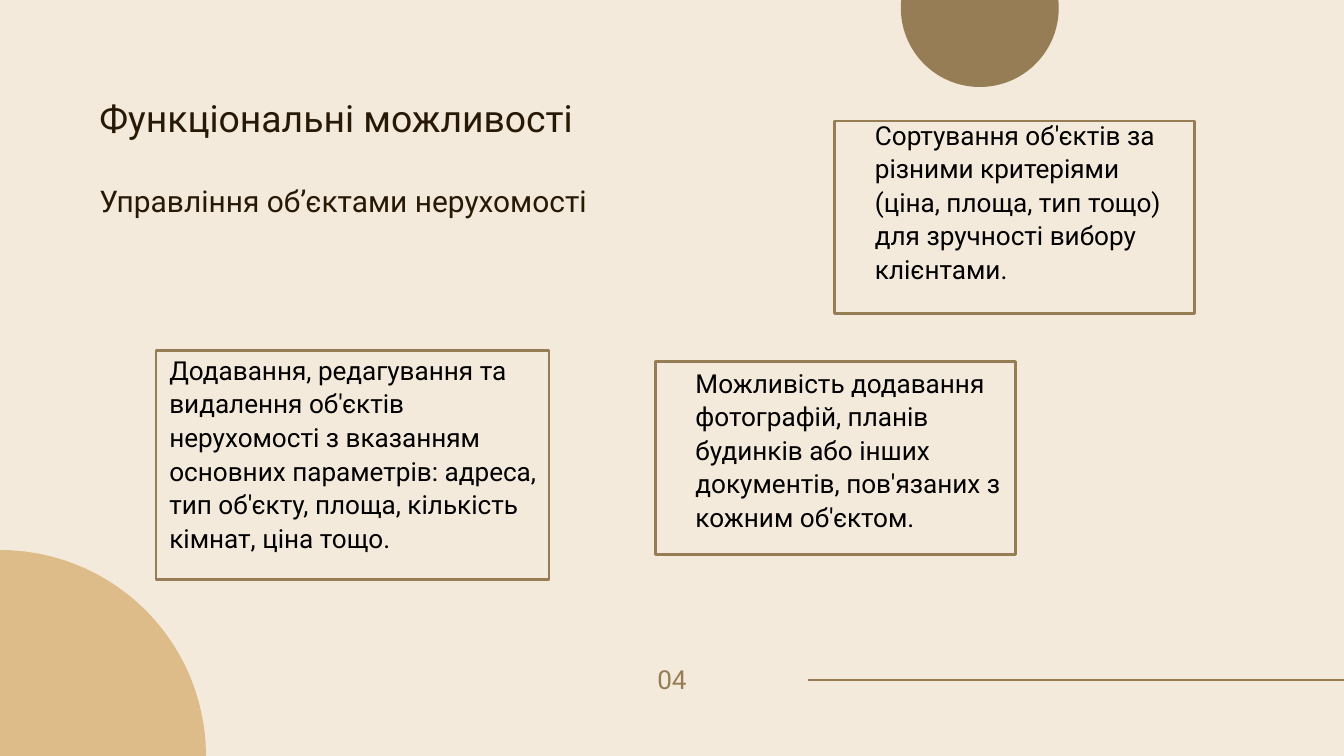
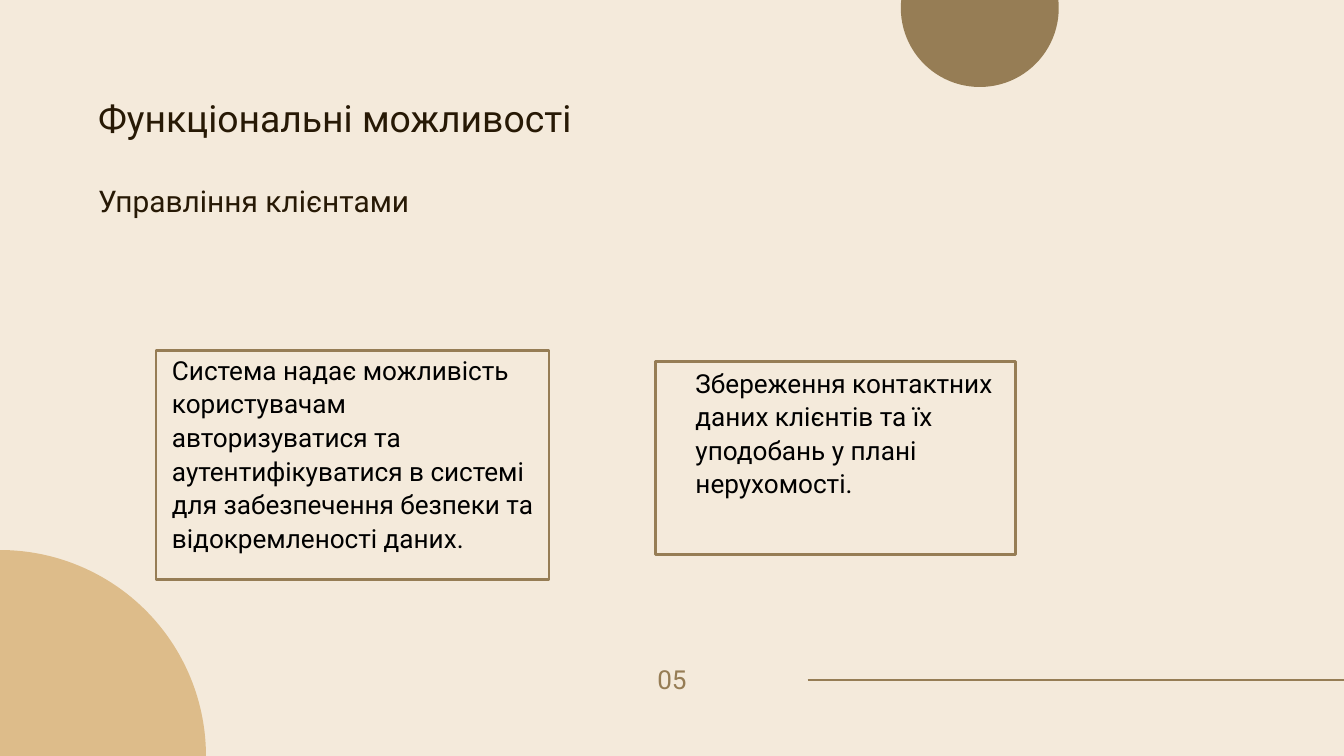
"""Build two slides on what a property management system can do."""
from dataclasses import dataclass
from typing import NamedTuple

import pptx
import pptx.dml.color
import pptx.enum.shapes
import pptx.enum.text
import pptx.oxml
import pptx.slide
import pptx.text.text
import pptx.util
from pptx.util import Inches

Kind = pptx.enum.shapes.MSO_SHAPE
Align = pptx.enum.text.PP_ALIGN


@dataclass(frozen=True)
class Theme:
    font: str = "Roboto"
    cream: str = "F4EADB"
    brown: str = "967D55"
    sand: str = "DDBC8A"
    dark: str = "271905"
    black: str = "000000"
    title: int = 40
    topic: int = 32
    body: int = 28
    pitch: int = 28
    stroke: int = 3


class Box(NamedTuple):
    left: float
    top: float
    width: float
    height: float


class Disc(NamedTuple):
    mid: float
    centre: float
    size: float
    tint: str


class Card(NamedTuple):
    frame: Box
    area: Box
    text: str


class Page(NamedTuple):
    number: str
    head: Box
    topic: str
    cards: tuple[Card, ...]


THEME = Theme()
TITLE = "Функціональні можливості"
DISCS = (Disc(14.58, 0.12, 2.35, THEME.brown), Disc(0, 11.25, 6.13, THEME.sand))
LEFT = Box(2.32, 5.21, 5.85, 3.41)
RIGHT = Box(9.75, 5.38, 5.36, 2.87)
UPPER = RIGHT._replace(left=12.42, top=1.8)

PAGES = (
    Page("04", Box(1.48, 1.69, 7.6, 1.58), "Управління об’єктами нерухомості", (
        Card(LEFT, Box(1.92, 5.19, 6.36, 3.1),
             "Додавання, редагування та видалення об'єктів нерухомості з вказанням "
             "основних параметрів: адреса, тип об'єкту, площа, кількість кімнат, ціна тощо."),
        Card(RIGHT, RIGHT._replace(height=2.59),
             "Можливість додавання фотографій, планів будинків або інших документів, "
             "пов'язаних з кожним об'єктом."),
        Card(UPPER, Box(12.42, 1.69, 5.24, 2.59),
             "Сортування об'єктів за різними критеріями (ціна, площа, тип тощо) "
             "для зручності вибору клієнтами."),
    )),
    Page("05", Box(1.46, 1.69, 7.37, 1.61), "Управління клієнтами", (
        Card(LEFT, Box(1.96, 5.19, 6.13, 3.1),
             "Система надає можливість користувачам авторизуватися та аутентифікуватися "
             "в системі для забезпечення безпеки та відокремленості даних."),
        Card(RIGHT, RIGHT._replace(height=2.09),
             "Збереження контактних даних клієнтів та їх уподобань у плані нерухомості."),
    )),
)


def paint(code: str) -> pptx.dml.color.RGBColor:
    return pptx.dml.color.RGBColor.from_string(code)


def place(box: Box) -> list[pptx.util.Length]:
    return [Inches(side) for side in box]


def style(line: pptx.text.text._Paragraph, size: int, tint: str) -> None:
    for run in line.runs:
        run.font.name = THEME.font
        run.font.size = pptx.util.Pt(size)
        run.font.color.rgb = paint(tint)


def write(slide: pptx.slide.Slide, box: Box, text: str,
          inset: bool = False) -> pptx.text.text.TextFrame:
    frame = slide.shapes.add_textbox(*place(box)).text_frame
    frame.word_wrap = True
    if inset:
        frame.margin_left = Inches(0.6)
    else:
        frame.margin_left = frame.margin_right = 0
        frame.margin_top = frame.margin_bottom = 0
    frame.text = text
    return frame


def add_disc(slide: pptx.slide.Slide, disc: Disc) -> None:
    half = disc.size / 2
    box = Box(disc.mid - half, disc.centre - half, disc.size, disc.size)
    shape = slide.shapes.add_shape(Kind.OVAL, *place(box))
    shape.shadow.inherit = False
    shape.fill.solid()
    shape.fill.fore_color.rgb = paint(disc.tint)
    shape.line.fill.background()


def add_rule(slide: pptx.slide.Slide) -> None:
    rule = slide.shapes.add_connector(
        pptx.enum.shapes.MSO_CONNECTOR.STRAIGHT,
        Inches(12.02), Inches(10.12), Inches(20), Inches(10.12))
    rule.line.color.rgb = paint(THEME.brown)
    rule.line.width = pptx.util.Pt(THEME.stroke)
    props = rule._element.spPr
    props.append(props.makeelement(pptx.oxml.ns.qn("a:effectLst"), {}))


def add_head(slide: pptx.slide.Slide, page: Page) -> None:
    frame = write(slide, page.head, f"{TITLE}\n{page.topic}")
    title, topic = frame.paragraphs
    for line, size in ((title, THEME.title), (topic, THEME.topic)):
        line.alignment = Align.JUSTIFY
        line.line_spacing = pptx.util.Pt(THEME.pitch)
        style(line, size, THEME.dark)
    topic.space_before = pptx.util.Pt(2 * THEME.pitch)


def add_foot(slide: pptx.slide.Slide, number: str) -> None:
    line = write(slide, Box(6.38, 9.95, 7.24, 0.4), number).paragraphs[0]
    line.alignment = Align.CENTER
    line.line_spacing = pptx.util.Pt(THEME.pitch)
    style(line, THEME.body, THEME.brown)


def add_card(slide: pptx.slide.Slide, card: Card) -> None:
    shape = slide.shapes.add_shape(Kind.RECTANGLE, *place(card.frame))
    shape.shadow.inherit = False
    shape.fill.background()
    shape.line.color.rgb = paint(THEME.brown)
    shape.line.width = pptx.util.Pt(THEME.stroke)
    line = write(slide, card.area, card.text, inset=True).paragraphs[0]
    line.line_spacing = 1.07
    line.space_after = pptx.util.Pt(8)
    style(line, THEME.body, THEME.black)


def add_page(deck: pptx.presentation.Presentation, page: Page) -> None:
    slide = deck.slides.add_slide(deck.slide_layouts[6])
    slide.background.fill.solid()
    slide.background.fill.fore_color.rgb = paint(THEME.cream)
    add_rule(slide)
    add_foot(slide, page.number)
    for disc in DISCS:
        add_disc(slide, disc)
    add_head(slide, page)
    for card in page.cards:
        add_card(slide, card)


def main() -> None:
    deck = pptx.Presentation()
    deck.slide_width = Inches(20)
    deck.slide_height = Inches(11.25)
    for page in PAGES:
        add_page(deck, page)
    deck.save("out.pptx")


if __name__ == "__main__":
    main()
